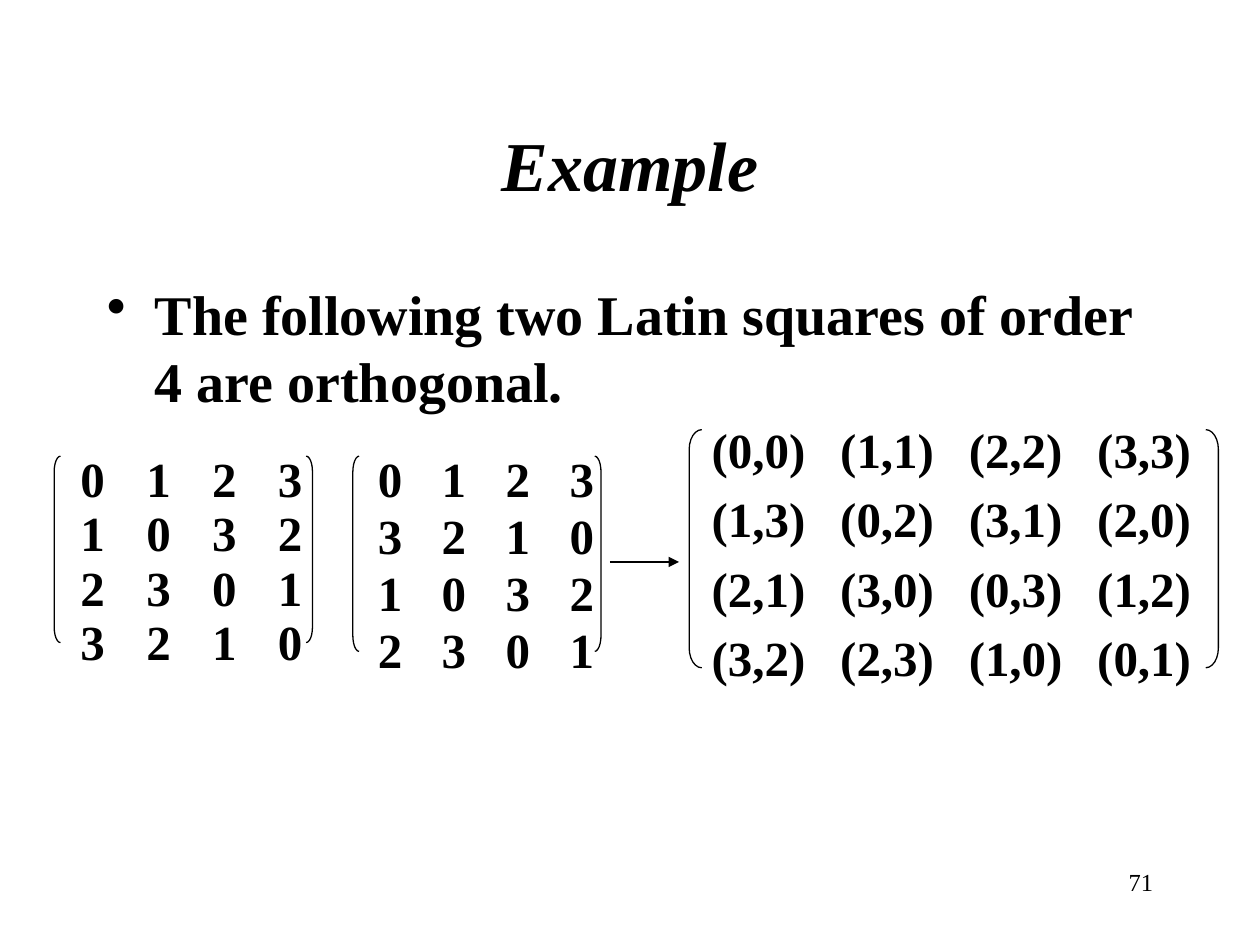
from dataclasses import dataclass
from lxml.etree import SubElement
from pptx import Presentation
from pptx.dml.color import RGBColor as RGB
from pptx.enum.shapes import MSO_CONNECTOR as Link, MSO_SHAPE as Kind
from pptx.enum.text import MSO_ANCHOR as Anchor, MSO_AUTO_SIZE as Fit, PP_ALIGN as Align
from pptx.oxml.ns import qn
from pptx.util import Inches, Pt


@dataclass(frozen=True)
class Theme:
    font: str = "Times New Roman"
    ink: RGB = RGB(0, 0, 0)
    title: int = 40
    body: int = 32
    cell: int = 28
    foot: int = 14
    line: float = 0.75


THEME = Theme()

FIRST = ["0 1 2 3", "1 0 3 2", "2 3 0 1", "3 2 1 0"]
SECOND = ["0 1 2 3", "3 2 1 0", "1 0 3 2", "2 3 0 1"]
PAIRS = [
    "(0,0) (1,1) (2,2) (3,3)",
    "(1,3) (0,2) (3,1) (2,0)",
    "(2,1) (3,0) (0,3) (1,2)",
    "(3,2) (2,3) (1,0) (0,1)",
]


def scale(box):
    return [Inches(n) for n in box]


def style(para, size, bold=True, slant=False):
    for run in para.runs:
        font = run.font
        font.name, font.size = THEME.font, Pt(size)
        font.bold, font.italic = bold, slant
        font.color.rgb = THEME.ink


def write(slide, box, text, size, bold=True):
    frame = slide.shapes.add_textbox(*scale(box)).text_frame
    frame.word_wrap = True
    frame.text = text
    para = frame.paragraphs[0]
    style(para, size, bold)
    return para


def add_title(slide, box, text):
    title = slide.shapes.title
    title.left, title.top, title.width, title.height = scale(box)
    frame = title.text_frame
    frame.text = text
    frame.auto_size = Fit.NONE
    frame.vertical_anchor = Anchor.MIDDLE
    para = frame.paragraphs[0]
    para.alignment = Align.CENTER
    style(para, THEME.title, slant=True)


def add_body(slide, box, text):
    para = write(slide, box, text, THEME.body)
    para.space_before = Pt(8)
    props = para._p.get_or_add_pPr()
    props.set("marL", str(Inches(0.38)))
    props.set("indent", str(-Inches(0.38)))
    SubElement(props, qn("a:buChar")).set("char", "•")


def add_grid(slide, box, rows):
    left, top, width, height = box
    high = height / len(rows)
    for i, row in enumerate(rows):
        cells = row.split()
        wide = width / len(cells)
        for j, text in enumerate(cells):
            spot = (left + j * wide, top + i * high, wide, high)
            write(slide, spot, text, THEME.cell).space_before = Pt(7)


def add_pair(slide, box, depth):
    left, top, width, height = box
    sides = [
        (Kind.LEFT_BRACKET, left),
        (Kind.RIGHT_BRACKET, left + width - depth),
    ]
    for kind, x in sides:
        shape = slide.shapes.add_shape(kind, *scale((x, top, depth, height)))
        shape.adjustments[0] = height / 12 / depth
        shape.shadow.inherit = False
        shape.fill.background()
        shape.line.color.rgb = THEME.ink
        shape.line.width = Pt(THEME.line)


def add_matrix(slide, grid, frame, depth, rows):
    add_grid(slide, grid, rows)
    add_pair(slide, frame, depth)


def add_arrow(slide, box):
    left, top, width, height = scale(box)
    arrow = slide.shapes.add_connector(
        Link.STRAIGHT, left, top, left + width, top + height)
    arrow.line.color.rgb = THEME.ink
    arrow.line.width = Pt(THEME.line)
    SubElement(arrow.line._get_or_add_ln(), qn("a:tailEnd")).set("type", "triangle")
    SubElement(arrow._element.spPr, qn("a:effectLst"))


def add_foot(slide, box, text):
    write(slide, box, text, THEME.foot, bold=False).alignment = Align.RIGHT


def main():
    deck = Presentation()
    deck.slide_width, deck.slide_height = Inches(10), Inches(7.5)
    slide = deck.slides.add_slide(deck.slide_layouts[5])
    add_foot(slide, (7.17, 6.83, 2.08, 0.5), "71")
    add_title(slide, (0.75, 0.67, 8.5, 1.25), "Example")
    add_body(slide, (0.75, 2.17, 8.5, 4.5),
             "The following two Latin squares of order 4 are orthogonal.")
    add_matrix(slide, (0.54, 3.51, 2.09, 1.73), (0.43, 3.62, 2.05, 1.48), 0.05, FIRST)
    add_matrix(slide, (2.9, 3.51, 2.03, 1.81), (2.8, 3.62, 1.97, 1.55), 0.05, SECOND)
    add_matrix(slide, (5.55, 3.28, 4.08, 2.2), (5.47, 3.41, 4.2, 1.89), 0.1, PAIRS)
    add_arrow(slide, (4.84, 4.46, 0.55, 0))
    deck.save("out.pptx")


if __name__ == "__main__":
    main()
